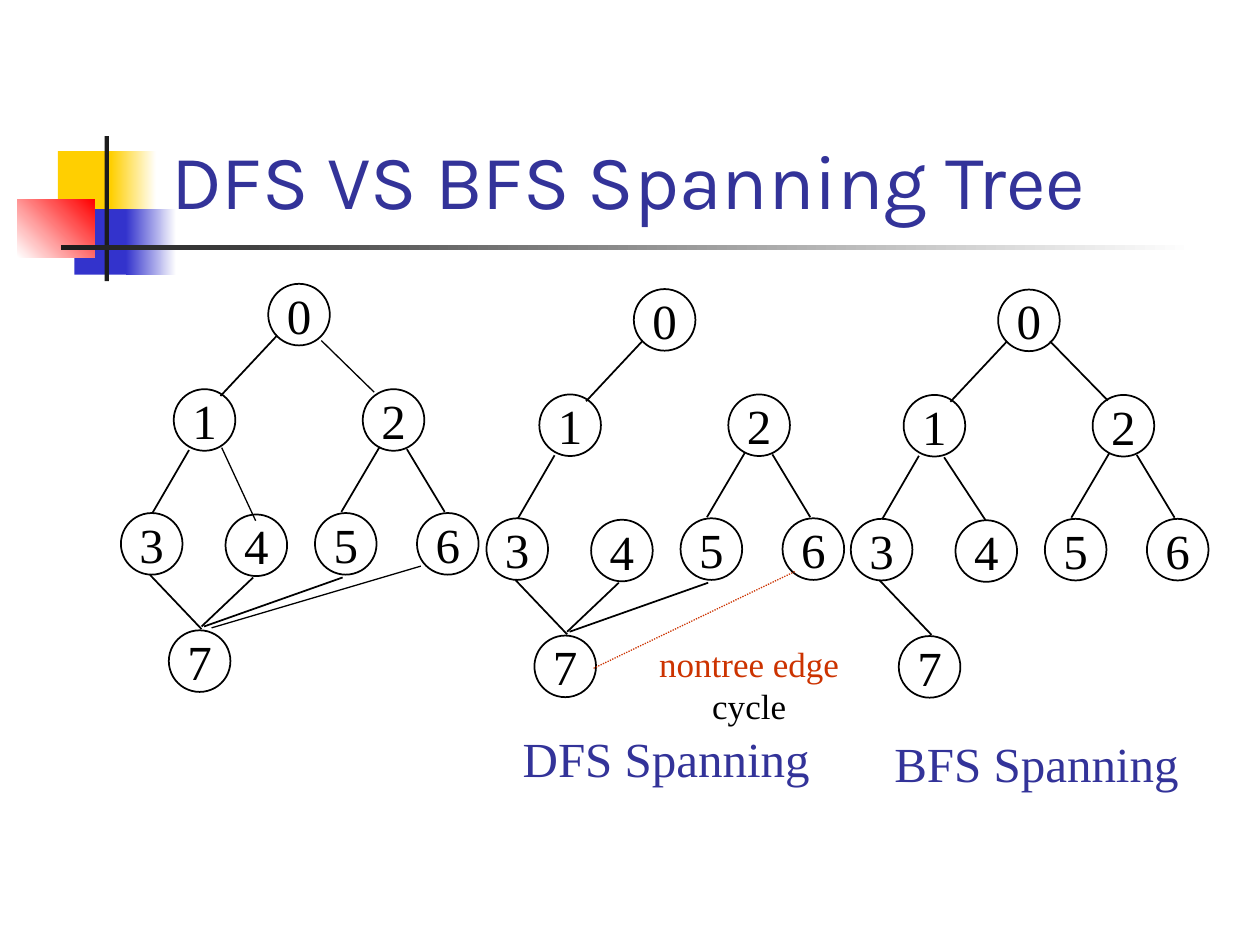
import pptx
import pptx.util
import pptx.dml.color
import pptx.enum.dml
import pptx.enum.shapes
import pptx.enum.text
import pptx.oxml.ns
import lxml.etree

THEME = {
    "black": "000000", "white": "FFFFFF", "ink": "1C1C1C", "yellow": "FFCF01",
    "blue": "3333CC", "red": "FF0000", "title": "333399", "nontree": "CC3300",
    "title_font": "Karla", "body_font": "Times New Roman",
    "title_size": 44, "node_size": 28, "note_size": 20,
    "edge_width": 1, "thin_width": 0.75,
}

DECORATIONS = [
    ((33.1, 86.4, 34.6, 37.4), ["yellow"], 0),
    ((63.4, 86.4, 25.9, 37.4), ["yellow", "white"], 0),
    ((42.5, 119.5, 33.1, 37.4), ["blue"], 0),
    ((72, 119.5, 28.8, 37.4), ["blue", "white"], 0),
    ((10, 113.8, 44, 33.1), ["white", "red"], 45),
    ((59.8, 77.8, 2.4, 82.8), ["ink"], 0),
    ((34.6, 140.2, 648, 2.4), ["ink", "white"], 0),
]

NODE_DIAMETER = 35.2
NODES = [(84.2, 0), (30.2, 60.2), (138.2, 60.2), (0, 131),
         (59.8, 131.8), (110.9, 131), (169.2, 131), (27.4, 198)]

EDGES = {
    "0-1": (89.3, 29.5, 56.9, 64.1),
    "0-2": (113.8, 29.5, 146.9, 63.4),
    "0-2 short": (114.5, 32.4, 144.7, 61.9),
    "1-3": (38.9, 95, 18, 131),
    "1-4": (53.3, 95.8, 77, 131.8),
    "1-4 steep": (57.6, 93.6, 77, 135.4),
    "2-5": (147.6, 93.6, 126, 130.3),
    "2-6": (163.4, 94.5, 185, 130.3),
    "3-7": (16.6, 166.3, 46.1, 197.3),
    "4-7": (75.6, 167.8, 46.1, 195.8),
    "5-7": (126.7, 167.8, 47.5, 195.8),
    "6-7": (171.4, 161.3, 51.8, 196.6),
    "7-6 nontree": (61.2, 216.7, 176.4, 161.3),
}
SHARED_EDGES = ["0-1", "1-3", "2-5", "2-6", "3-7"]
THIN_EDGES = {"0-2 short", "1-4 steep", "6-7"}

TREES = [
    ((69.1, 162.2), ["4-7", "5-7", "0-2 short", "1-4 steep", "6-7"]),
    ((278, 165.2), ["4-7", "5-7", "7-6 nontree"]),
    ((486.2, 165.5), ["0-2", "1-4"]),
]

LABELS = [
    ((90.7, 16.6, 613.4, 115.2), [("DFS VS BFS Spanning Tree", "title")],
     "title_font", "title_size", "BOTTOM", "LEFT", True),
    ((291.6, 412.6, 178.6, 41), [("DFS Spanning", "title")],
     "body_font", "node_size", "TOP", "LEFT", False),
    ((504, 415.4, 177.1, 41), [("BFS Spanning", "title")],
     "body_font", "node_size", "TOP", "LEFT", False),
    ((369.4, 363.6, 117.4, 55.4), [("nontree edge", "nontree"), ("cycle", "black")],
     "body_font", "note_size", "MIDDLE", "CENTER", False),
]


def points(values):
    return [pptx.util.Pt(value) for value in values]


def colour(name):
    return pptx.dml.color.RGBColor.from_string(THEME[name])


def set_all(target, values):
    for name, value in values.items():
        setattr(target, name, value)


def write_text(shape, lines, font, size, anchor, align, wrap):
    frame = shape.text_frame
    set_all(frame, {
        "word_wrap": wrap,
        "vertical_anchor": getattr(pptx.enum.text.MSO_ANCHOR, anchor),
    })
    for index, (text, colour_name) in enumerate(lines):
        paragraph = frame.paragraphs[0] if index == 0 else frame.add_paragraph()
        paragraph.alignment = getattr(pptx.enum.text.PP_ALIGN, align)
        run = paragraph.add_run()
        run.text = text
        set_all(run.font, {"name": THEME[font], "size": pptx.util.Pt(THEME[size])})
        run.font.color.rgb = colour(colour_name)


def add_decoration(slide, box, colours, angle):
    shape = slide.shapes.add_shape(
        pptx.enum.shapes.MSO_SHAPE.RECTANGLE, *points(box))
    shape.shadow.inherit = False
    shape.line.fill.background()
    if len(colours) == 1:
        shape.fill.solid()
        shape.fill.fore_color.rgb = colour(colours[0])
        return
    shape.fill.gradient()
    shape.fill.gradient_angle = angle
    for stop, name in zip(shape.fill.gradient_stops, colours):
        stop.color.rgb = colour(name)


def add_node(slide, left, top, number):
    shape = slide.shapes.add_shape(
        pptx.enum.shapes.MSO_SHAPE.OVAL,
        *points((left, top, NODE_DIAMETER, NODE_DIAMETER)))
    shape.shadow.inherit = False
    shape.fill.solid()
    shape.fill.fore_color.rgb = colour("white")
    shape.line.color.rgb = colour("black")
    shape.line.width = pptx.util.Pt(THEME["edge_width"])
    write_text(shape, [(str(number), "black")],
               "body_font", "node_size", "MIDDLE", "CENTER", False)


def add_edge(slide, left, top, name):
    x1, y1, x2, y2 = EDGES[name]
    nontree = name.endswith("nontree")
    width = "thin_width" if nontree or name in THIN_EDGES else "edge_width"
    connector = slide.shapes.add_connector(
        pptx.enum.shapes.MSO_CONNECTOR.STRAIGHT,
        *points((left + x1, top + y1, left + x2, top + y2)))
    connector.line.color.rgb = colour("nontree" if nontree else "black")
    connector.line.width = pptx.util.Pt(THEME[width])
    if nontree:
        connector.line.dash_style = pptx.enum.dml.MSO_LINE.ROUND_DOT
    lxml.etree.SubElement(connector.element.spPr, pptx.oxml.ns.qn("a:effectLst"))


def main():
    presentation = pptx.Presentation()
    set_all(presentation, {"slide_width": pptx.util.Pt(720),
                           "slide_height": pptx.util.Pt(540)})
    slide = presentation.slides.add_slide(presentation.slide_layouts[6])
    for decoration in DECORATIONS:
        add_decoration(slide, *decoration)
    for (left, top), own_edges in TREES:
        for number, (x, y) in enumerate(NODES):
            add_node(slide, left + x, top + y, number)
        for name in SHARED_EDGES + own_edges:
            add_edge(slide, left, top, name)
    for box, *text_format in LABELS:
        write_text(slide.shapes.add_textbox(*points(box)), *text_format)
    presentation.save("out.pptx")


if __name__ == "__main__":
    main()
